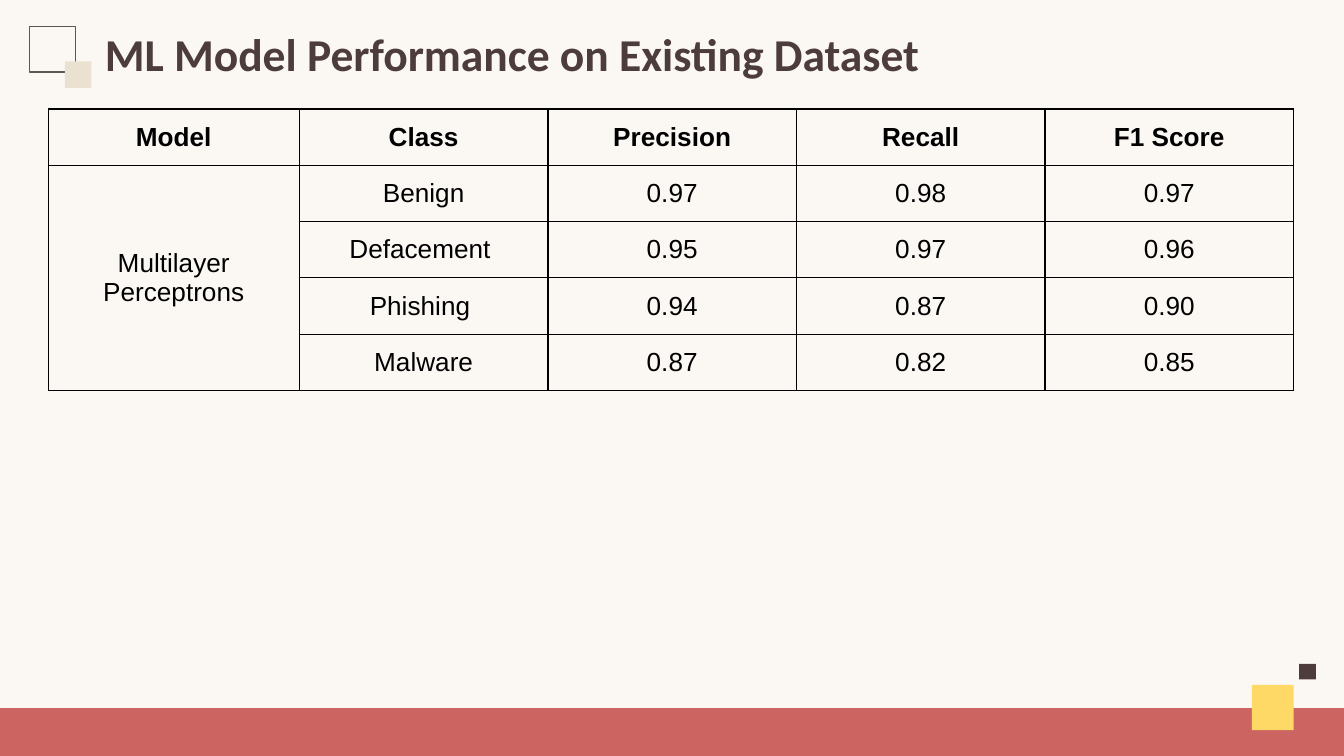
from lxml import etree
from pptx import Presentation
from pptx.dml.color import RGBColor
from pptx.enum import shapes, text
from pptx.oxml import ns
from pptx.util import Pt

HEADERS = ["Model", "Class", "Precision", "Recall", "F1 Score"]
MODEL = "Multilayer Perceptrons"
SCORES = [
    ["Benign", "0.97", "0.98", "0.97"],
    ["Defacement ", "0.95", "0.97", "0.96"],
    ["Phishing ", "0.94", "0.87", "0.90"],
    ["Malware", "0.87", "0.82", "0.85"],
]


def color(value):
    """Turn a hex string into a colour."""
    return RGBColor.from_string(value)


def style_runs(p, font, size, hex_color, bold):
    """Format every run of a paragraph."""
    for r in p.runs:
        r.font.name, r.font.size, r.font.bold = font, Pt(size), bold
        r.font.color.rgb = color(hex_color)


def add_rect(s, x, y, w, h, fill=None, line=None):
    """Add a plain rectangle with an optional fill and outline."""
    sp = s.shapes.add_shape(shapes.MSO_SHAPE.RECTANGLE, Pt(x), Pt(y), Pt(w), Pt(h))
    sp.shadow.inherit = False
    if fill:
        sp.fill.solid()
        sp.fill.fore_color.rgb = color(fill)
    else:
        sp.fill.background()
    if line:
        sp.line.color.rgb = color(line)
        sp.line.width = Pt(0.75)
    else:
        sp.line.fill.background()


def add_footer(s, x, y, w, h):
    """Draw the bottom bar and the two squares at its right end."""
    add_rect(s, x, y, w, h, "CC6462")
    add_rect(s, x + w - 49.3, y - 12.4, 22.4, 24.2, "FFD966")
    add_rect(s, x + w - 24, y - 23.7, 9, 8.4, "4D3C3C")


def add_title(s, x, y, w, h):
    """Draw the corner squares and place the title beside them."""
    add_rect(s, x, y + 7.7, 24.5, 24.5, line="595959")
    add_rect(s, x + 18.8, y + 26.4, 14.2, 14.2, "EBE1D0")
    sp = s.shapes.title
    sp.left, sp.top, sp.width, sp.height = Pt(x + 33), Pt(y), Pt(w - 33), Pt(h)
    tf = sp.text_frame
    tf.text = "ML Model Performance on Existing Dataset"
    tf.word_wrap = True
    tf.auto_size = text.MSO_AUTO_SIZE.NONE
    tf.vertical_anchor = text.MSO_ANCHOR.TOP
    tf.margin_left = tf.margin_right = tf.margin_top = tf.margin_bottom = Pt(7.2)
    p = tf.paragraphs[0]
    p.alignment = text.PP_ALIGN.LEFT
    style_runs(p, "Calibri", 24.4, "4D3C3C", True)


def add_borders(cell, hex_color, width):
    """Outline a cell on all four sides."""
    tcPr = cell._tc.get_or_add_tcPr()
    for i, side in enumerate(("lnL", "lnR", "lnT", "lnB")):
        ln = etree.Element(ns.qn(f"a:{side}"), w=str(Pt(width)))
        fill = etree.SubElement(ln, ns.qn("a:solidFill"))
        etree.SubElement(fill, ns.qn("a:srgbClr"), val=hex_color)
        tcPr.insert(i, ln)


def format_cell(cell, bold):
    """Centre a cell's text and set its font, margins and borders."""
    cell.fill.background()
    cell.vertical_anchor = text.MSO_ANCHOR.MIDDLE
    cell.margin_left = cell.margin_right = Pt(7.2)
    cell.margin_top = cell.margin_bottom = Pt(7.2)
    p = cell.text_frame.paragraphs[0]
    p.alignment = text.PP_ALIGN.CENTER
    style_runs(p, "Arial", 14, "000000", bold)
    add_borders(cell, "000000", 0.75)


def add_scores(s, x, y, w, h):
    """Add the score table with the model name spanning its classes."""
    rows = [HEADERS] + [[MODEL if i == 0 else ""] + row for i, row in enumerate(SCORES)]
    frame = s.shapes.add_table(len(rows), len(HEADERS), Pt(x), Pt(y), Pt(w), Pt(h))
    table = frame.table
    table.horz_banding = False
    first = 134.6
    for i, col in enumerate(table.columns):
        col.width = Pt((w - first) / (len(HEADERS) - 1) if i else first)
    for i, row in enumerate(rows):
        table.rows[i].height = Pt(h / len(rows))
        for j, value in enumerate(row):
            cell = table.cell(i, j)
            cell.text = value
            format_cell(cell, bold=i == 0)
    table.cell(1, 0).merge(table.cell(len(SCORES), 0))


def main():
    """Build the slide and save it."""
    prs = Presentation()
    prs.slide_width, prs.slide_height = Pt(720), Pt(405)
    s = prs.slides.add_slide(prs.slide_layouts[5])
    s.background.fill.solid()
    s.background.fill.fore_color.rgb = color("FBF8F4")
    add_footer(s, 0, 379.4, 720, 26.6)
    add_title(s, 16, 6.5, 704, 47.5)
    add_scores(s, 25.8, 58.4, 667.2, 150.5)
    prs.save("out.pptx")


if __name__ == "__main__":
    main()
